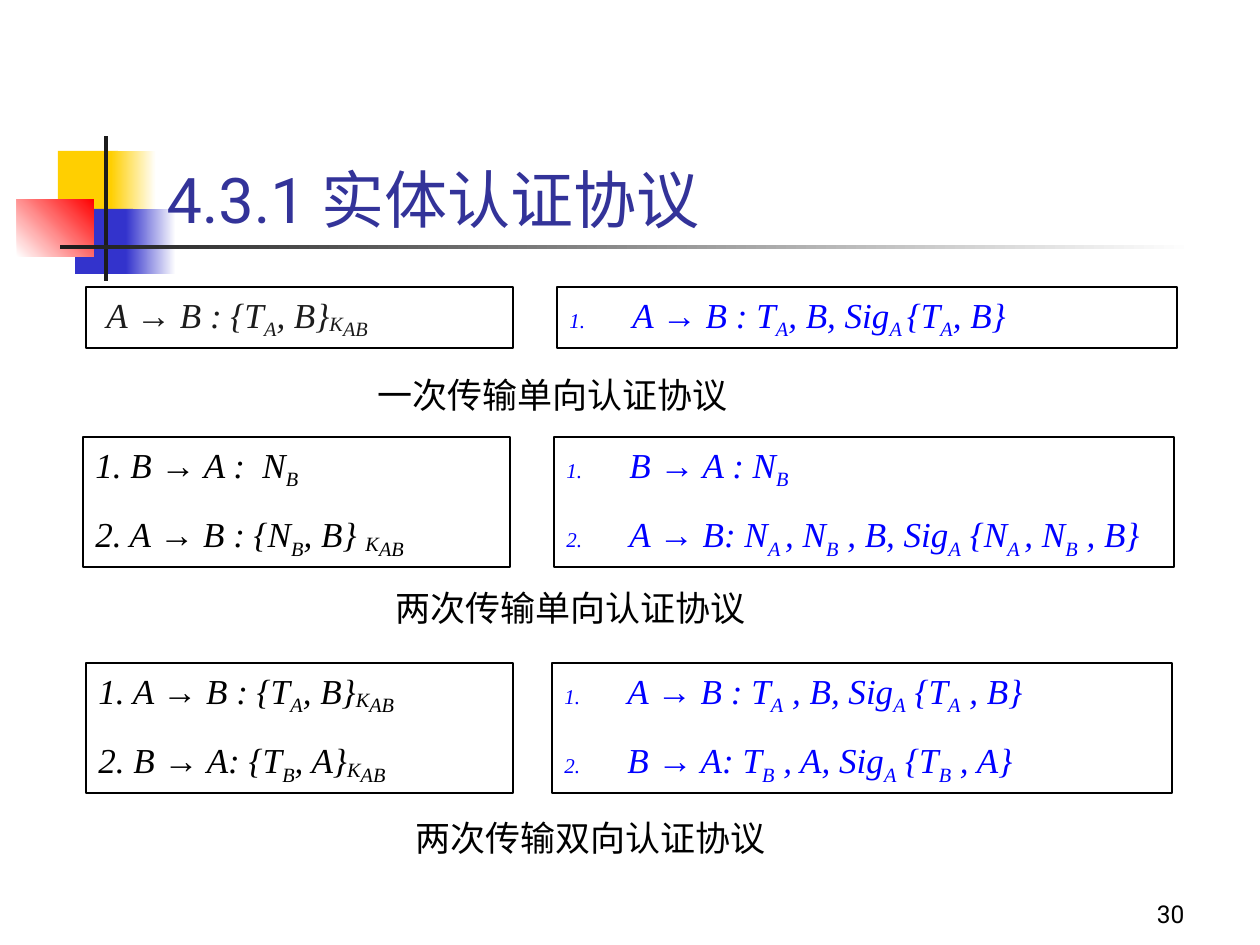
from lxml.etree import SubElement
from pptx import Presentation
from pptx.dml.color import RGBColor
from pptx.enum.shapes import MSO_SHAPE as Shape
from pptx.enum.text import MSO_ANCHOR as Anchor, PP_ALIGN as Align
from pptx.oxml.ns import qn
from pptx.util import Pt

SCALE = 914400 / 126
BLACK, DARK, BLUE, WHITE = "000000", "1C1C1C", "0000FF", "FFFFFF"
YELLOW, INDIGO, RED = "FFCF01", "3333CC", "FF0000"


def px(length):
    """Turn pixels into EMU."""
    return round(length * SCALE)


def color(value):
    """Turn a hex string into a colour."""
    return RGBColor.from_string(value)


def set_font(font, name, size, fill):
    """Set the typeface, size and colour of a font."""
    font.name, font.size = name, Pt(size)
    font.color.rgb = color(fill)


def add_rectangle(slide, box):
    """Add a rectangle without line or shadow."""
    shape = slide.shapes.add_shape(Shape.RECTANGLE, *map(px, box))
    shape.shadow.inherit = False
    shape.line.fill.background()
    return shape


def add_block(slide, box, start, end=None, angle=0):
    """Add a plain rectangle, or a gradient one if an end colour is given."""
    fill = add_rectangle(slide, box).fill
    if end is None:
        fill.solid()
        fill.fore_color.rgb = color(start)
        return
    fill.gradient()
    fill.gradient_angle = angle
    for stop, value in zip(fill.gradient_stops, (start, end)):
        stop.color.rgb = color(value)


def add_emblem(slide, left, top):
    """Draw the coloured squares with the crossing bars."""
    add_block(slide, (left + 41, top + 15, 60, 65), YELLOW)
    add_block(slide, (left + 94, top + 15, 45, 65), YELLOW, WHITE)
    add_block(slide, (left + 58, top + 73, 58, 65), INDIGO)
    add_block(slide, (left + 109, top + 73, 50, 65), INDIGO, WHITE)
    add_block(slide, (left, top + 63, 77, 58), WHITE, RED, 45)
    add_block(slide, (left + 87, top, 4, 145), DARK)
    add_block(slide, (left + 43, top + 109, 1134, 4), DARK, WHITE)


def set_title(slide, box, text):
    """Place the title above the bar and bring it to the front."""
    title = slide.shapes.title
    title.left, title.top, title.width, title.height = map(px, box)
    slide.shapes._spTree.append(title._element)
    frame = title.text_frame
    frame.text, frame.vertical_anchor = text, Anchor.BOTTOM
    paragraph = frame.paragraphs[0]
    paragraph.alignment = Align.LEFT
    set_font(paragraph.font, "Roboto", 36, "333399")


def add_label(slide, box, text, size=20, align=Align.LEFT, anchor=Anchor.TOP):
    """Add one line of black text."""
    frame = slide.shapes.add_textbox(*map(px, box)).text_frame
    frame.word_wrap, frame.vertical_anchor = True, anchor
    frame.text = text
    paragraph = frame.paragraphs[0]
    paragraph.alignment = align
    set_font(paragraph.font, "Roboto", size, BLACK)


def add_numbering(properties):
    """Number a paragraph with small blue figures."""
    bullet_color = SubElement(properties, qn("a:buClr"))
    SubElement(bullet_color, qn("a:srgbClr"), val=BLUE)
    SubElement(properties, qn("a:buSzPct"), val="60000")
    SubElement(properties, qn("a:buAutoNum"), type="arabicPeriod")


def add_message(paragraph, message):
    """Write a message split by bars, where _ marks a subscript and ^ a key."""
    for piece in message.split("|"):
        run = paragraph.add_run()
        run.text = piece.lstrip("_^")
        if piece == "→":
            run.font.name, run.font.italic = "Arial", False
        elif piece[0] in "_^":
            baseline = {"_": "-25000", "^": "-10000"}[piece[0]]
            run._r.get_or_add_rPr().set("baseline", baseline)


def add_protocol(slide, box, messages, fill, numbered=False):
    """Add a framed list of protocol messages."""
    shape = add_rectangle(slide, box)
    shape.fill.background()
    shape.line.color.rgb = color(BLACK)
    shape.line.width = Pt(0.75)
    frame = shape.text_frame
    frame.word_wrap, frame.vertical_anchor = True, Anchor.TOP
    for index, message in enumerate(messages):
        paragraph = frame.add_paragraph() if index else frame.paragraphs[0]
        paragraph.alignment = Align.LEFT
        if index:
            paragraph.space_before = Pt(12.5)
        properties = paragraph._p.get_or_add_pPr()
        properties.set("marL", str(px(63)))
        properties.set("indent", str(px(-63)))
        if numbered:
            add_numbering(properties)
        set_font(paragraph.font, "Times New Roman", 20, fill)
        paragraph.font.italic = True
        add_message(paragraph, message)


def add_section(slide, top, height, left, right, caption):
    """Add a shared-key protocol, its signed form and their caption."""
    left_x, left_messages, left_color = left
    right_x, right_messages = right
    caption_x, caption_top, caption_text = caption
    add_protocol(slide, (left_x, top, 427, height), left_messages, left_color)
    add_protocol(slide, (right_x, top, 620, height), right_messages, BLUE, True)
    add_label(slide, (caption_x, top + caption_top, 496, 55), caption_text)


def main():
    """Build the slide and save it."""
    presentation = Presentation()
    presentation.slide_width, presentation.slide_height = px(1260), px(945)
    slide = presentation.slides.add_slide(presentation.slide_layouts[5])
    add_emblem(slide, 17, 136)
    set_title(slide, (154, 76, 1071, 166), "4.3.1 实体认证协议")
    add_section(
        slide, 287, 61,
        (86, [" A |→| B : {T|_A|, B}|^K|_AB"], DARK),
        (557, ["A |→| B : T|_A|, B, Sig|_A |{T|_A|, B}"]),
        (365, 80, "一次传输单向认证协议"))
    add_section(
        slide, 437, 130,
        (83, ["1. B |→| A :  N|_B",
              "2. A |→| B : {N|_B|, B} |^K|_AB"], BLACK),
        (554, ["B |→| A : N|_B",
               "A |→| B: N|_A |, N|_B| , B, Sig|_A| {N|_A |, N|_B| , B}"]),
        (383, 143, "两次传输单向认证协议"))
    add_section(
        slide, 663, 130,
        (86, ["1. A |→| B : {T|_A|, B}|^K|_AB",
              "2. B |→| A: {T|_B|, A}|^K|_AB"], BLACK),
        (552, ["A |→| B : T|_A| , B, Sig|_A| {T|_A| , B}",
               "B |→| A: T|_B| , A, Sig|_A| {T|_B| , A}"]),
        (403, 147, "两次传输双向认证协议"))
    add_label(slide, (935, 872, 262, 63), "30", 14, Align.RIGHT, Anchor.BOTTOM)
    presentation.save("out.pptx")


if __name__ == "__main__":
    main()
